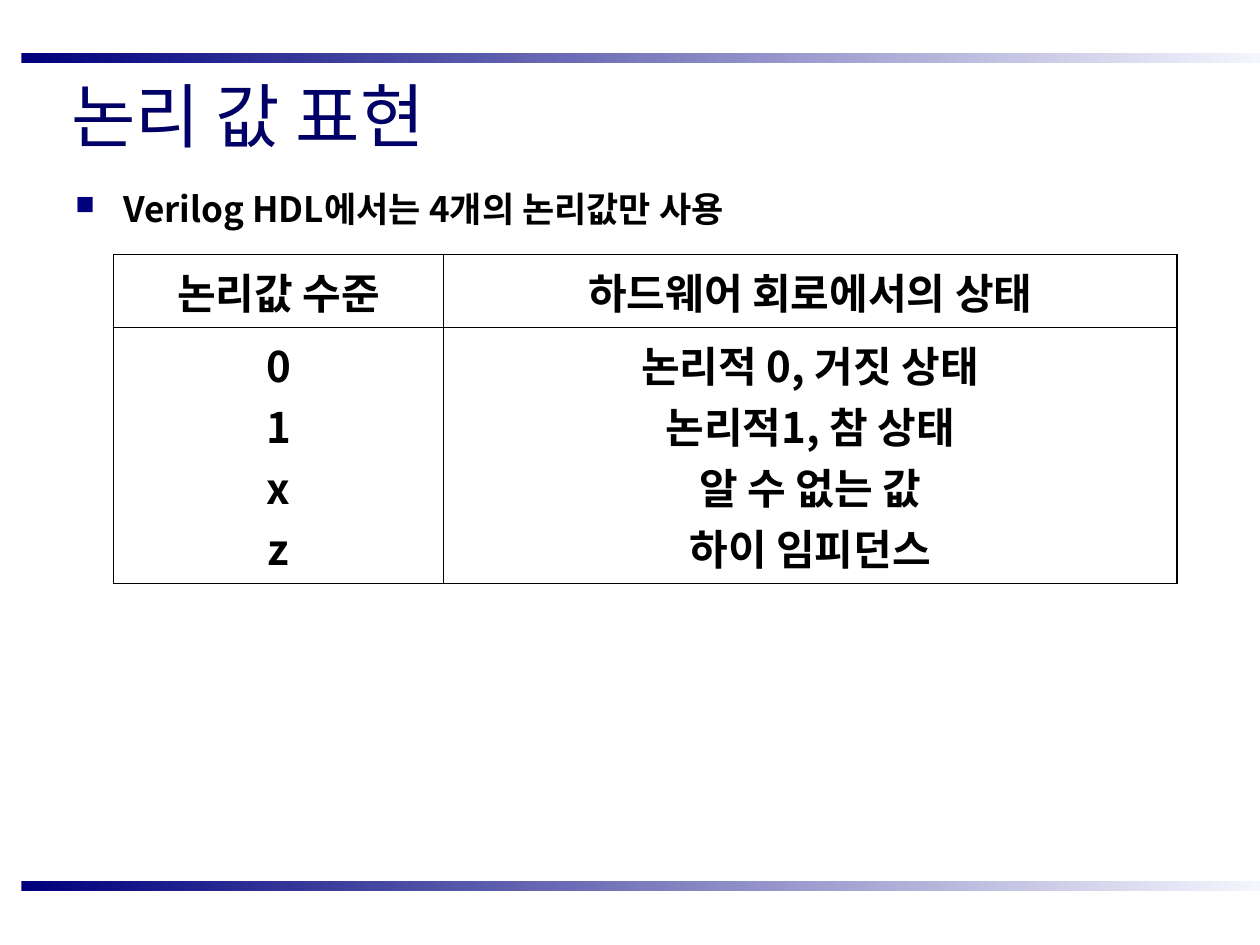
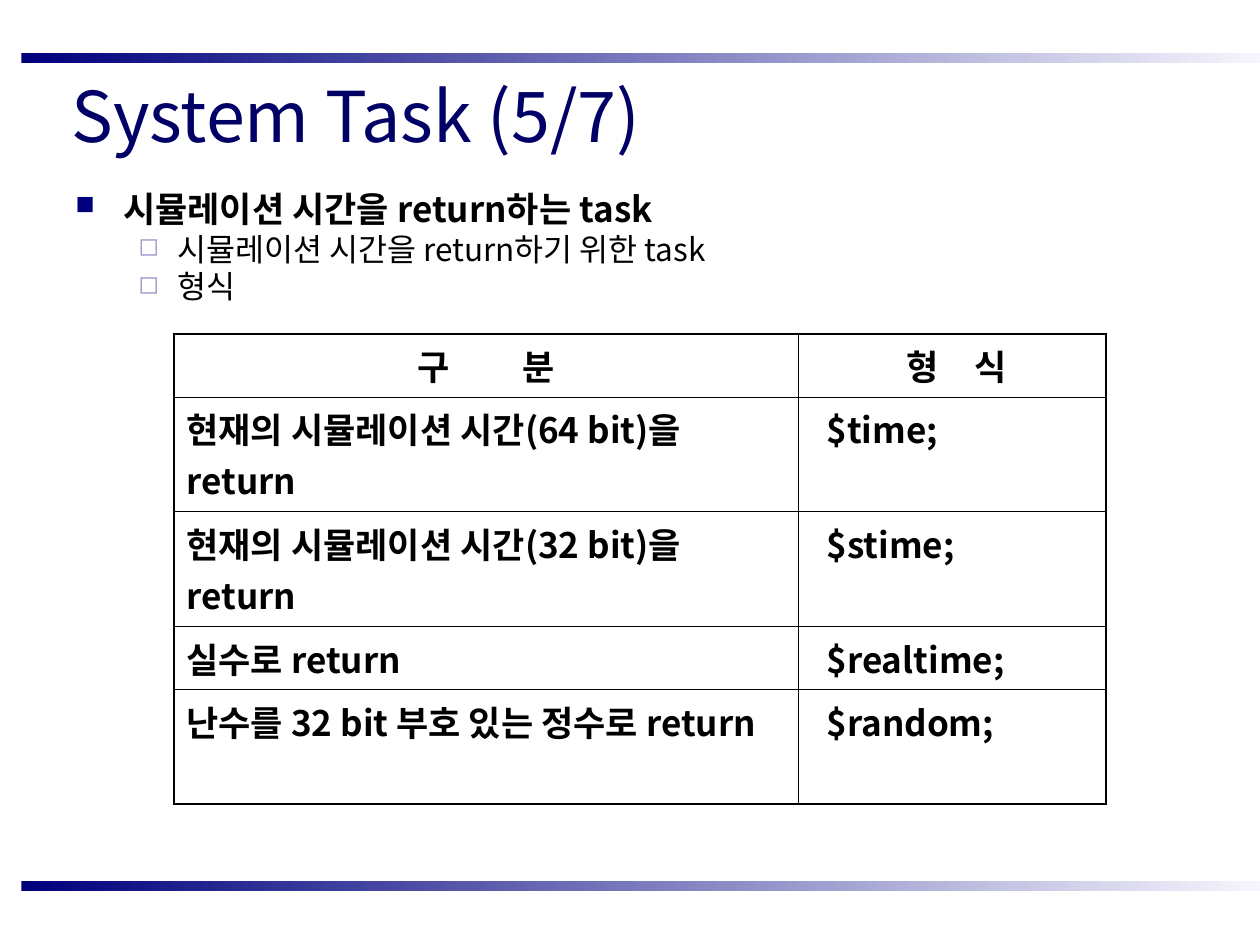
from dataclasses import dataclass
from typing import Any

from lxml.etree import SubElement
from pptx import Presentation
from pptx.dml.color import RGBColor
from pptx.enum.shapes import MSO_SHAPE
from pptx.enum.text import MSO_ANCHOR as Anchor, PP_ALIGN as Align
from pptx.oxml import parse_xml
from pptx.oxml.ns import nsdecls, qn
from pptx.util import Inches, Pt

FONT = "Noto Sans CJK KR"
COLORS = {
    "title": "000066",
    "text": "000000",
    "band_start": "00007D",
    "band_end": "F5F5FD",
    "bullet": "00007D",
    "sub_bullet": "9999CC",
}
BAND_TOPS = (0.42, 6.99)
OUTER_BORDER, INNER_BORDER = 1.08, 0.45


@dataclass(frozen=True)
class BulletStyle:
    symbol: str
    color: str
    percent: int
    margin: float
    hanging: float
    size: int
    bold: bool


BULLETS = (
    BulletStyle("■", "bullet", 75, 0.38, 0.38, 20, True),
    BulletStyle("◻", "sub_bullet", 80, 0.81, 0.31, 18, False),
)


@dataclass(frozen=True)
class Cell:
    """Text lines of a cell; word_gap widens its spaces, in points."""
    lines: tuple[str, ...]
    align: Align = Align.CENTER
    margin_left: float = 0.1
    word_gap: float = 0


@dataclass(frozen=True)
class TableSpec:
    left: float
    top: float
    column_widths: tuple[float, ...]
    row_heights: tuple[float, ...]
    size: int
    anchor: Anchor
    rows: list[tuple[Cell, ...]]


@dataclass(frozen=True)
class SlideSpec:
    title: str
    points: tuple[tuple[int, str], ...]
    table: TableSpec


def rgb(name: str) -> RGBColor:
    return RGBColor.from_string(COLORS[name])


def add_run(paragraph: Any, text: str, size: float, bold: bool = False,
            color: str = "text") -> Any:
    run = paragraph.add_run()
    run.text = text
    for name, value in {"size": Pt(size), "bold": bold, "name": FONT}.items():
        setattr(run.font, name, value)
    run.font.color.rgb = rgb(color)
    SubElement(run._r.get_or_add_rPr(), qn("a:ea"), typeface=FONT)
    return run


def add_band(slide: Any, top: float) -> None:
    band = slide.shapes.add_shape(
        MSO_SHAPE.RECTANGLE, Inches(0.17), Inches(top), Inches(9.83), Inches(0.08))
    band.shadow.inherit = False
    band.line.fill.background()
    band.fill.gradient()
    band.fill.gradient_angle = 0
    for stop, name in zip(band.fill.gradient_stops, ("band_start", "band_end")):
        stop.color.rgb = rgb(name)


def add_text_frame(slide: Any, left: float, top: float, width: float,
                   height: float, anchor: Anchor) -> Any:
    box = slide.shapes.add_textbox(
        Inches(left), Inches(top), Inches(width), Inches(height))
    frame = box.text_frame
    frame.word_wrap = True
    frame.vertical_anchor = anchor
    return frame


def next_paragraph(frame: Any, index: int) -> Any:
    return frame.add_paragraph() if index else frame.paragraphs[0]


def set_bullet(paragraph: Any, style: BulletStyle) -> None:
    properties = paragraph._p.get_or_add_pPr()
    properties.set("marL", str(Inches(style.margin)))
    properties.set("indent", str(-Inches(style.hanging)))
    color = SubElement(properties, qn("a:buClr"))
    SubElement(color, qn("a:srgbClr"), val=COLORS[style.color])
    SubElement(properties, qn("a:buSzPct"), val=str(style.percent * 1000))
    SubElement(properties, qn("a:buChar"), char=style.symbol)


def add_points(slide: Any, points: tuple[tuple[int, str], ...]) -> None:
    frame = add_text_frame(slide, 0.5, 1.44, 9, 5.42, Anchor.TOP)
    for index, (level, text) in enumerate(points):
        paragraph = next_paragraph(frame, index)
        style = BULLETS[level]
        paragraph.level = level
        set_bullet(paragraph, style)
        add_run(paragraph, text, style.size, style.bold)


def set_borders(cell: Any, outer_sides: dict[str, bool]) -> None:
    properties = cell._tc.get_or_add_tcPr()
    for index, (side, is_outer) in enumerate(outer_sides.items()):
        width = Pt(OUTER_BORDER if is_outer else INNER_BORDER)
        properties.insert(index, parse_xml(
            f'<a:ln{side} {nsdecls("a")} w="{width}"><a:solidFill>'
            f'<a:srgbClr val="{COLORS["text"]}"/></a:solidFill></a:ln{side}>'))


def fill_cell(cell: Any, content: Cell, size: int, anchor: Anchor) -> None:
    cell.fill.background()
    cell.vertical_anchor = anchor
    cell.margin_left = Inches(content.margin_left)
    for index, line in enumerate(content.lines):
        paragraph = next_paragraph(cell.text_frame, index)
        paragraph.alignment = content.align
        parts = line.partition(" ") if content.word_gap else (line,)
        for part in parts:
            run = add_run(paragraph, part, size, True)
            if part == " ":
                run._r.get_or_add_rPr().set("spc", str(round(content.word_gap * 100)))


def add_table(slide: Any, spec: TableSpec) -> None:
    last_row, last_column = len(spec.row_heights) - 1, len(spec.column_widths) - 1
    table = slide.shapes.add_table(
        last_row + 1, last_column + 1, Inches(spec.left), Inches(spec.top),
        Inches(sum(spec.column_widths)), Inches(sum(spec.row_heights))).table
    table.first_row = table.horz_banding = False
    for column, width in zip(table.columns, spec.column_widths):
        column.width = Inches(width)
    for row, height in zip(table.rows, spec.row_heights):
        row.height = Inches(height)
    for r, contents in enumerate(spec.rows):
        for c, content in enumerate(contents):
            cell = table.cell(r, c)
            fill_cell(cell, content, spec.size, spec.anchor)
            set_borders(cell, {"L": c == 0, "R": c == last_column,
                               "T": r == 0, "B": r == last_row})


def add_slide(presentation: Any, spec: SlideSpec) -> None:
    slide = presentation.slides.add_slide(presentation.slide_layouts[6])
    for top in BAND_TOPS:
        add_band(slide, top)
    title = add_text_frame(slide, 0.47, 0.48, 9.19, 0.86, Anchor.MIDDLE)
    add_run(title.paragraphs[0], spec.title, 40, color="title")
    add_points(slide, spec.points)
    add_table(slide, spec.table)


LOGIC_VALUES = TableSpec(
    0.9, 2.02, (2.62, 5.82), (0.58, 2.03), 24, Anchor.MIDDLE,
    [
        (Cell(("논리값 수준",)), Cell(("하드웨어 회로에서의 상태",))),
        (Cell(("0", "1", "x", "z")),
         Cell(("논리적 0, 거짓 상태", "논리적1, 참 상태", "알 수 없는 값", "하이 임피던스"))),
    ])

TIME_TASKS = (
    ("현재의 시뮬레이션 시간(64 bit)을 return", "$time;"),
    ("현재의 시뮬레이션 시간(32 bit)을 return", "$stime;"),
    ("실수로 return", "$realtime;"),
    ("난수를 32 bit 부호 있는 정수로 return", "$random;"),
)
TASK_FORMATS = TableSpec(
    1.38, 2.65, (4.96, 2.44), (0.5, 0.91, 0.91, 0.5, 0.91), 20, Anchor.TOP,
    [(Cell(("구 분",), word_gap=37), Cell(("형 식",), margin_left=0.16, word_gap=16))]
    + [(Cell((purpose,), Align.LEFT), Cell((call,), Align.LEFT, 0.22))
       for purpose, call in TIME_TASKS])

SLIDES = (
    SlideSpec("논리 값 표현", ((0, "Verilog HDL에서는 4개의 논리값만 사용"),), LOGIC_VALUES),
    SlideSpec(
        "System Task (5/7)",
        ((0, "시뮬레이션 시간을 return하는 task"),
         (1, "시뮬레이션 시간을 return하기 위한 task"),
         (1, "형식")),
        TASK_FORMATS),
)


def main() -> None:
    presentation = Presentation()
    presentation.slide_width = Inches(10)
    presentation.slide_height = Inches(7.5)
    for spec in SLIDES:
        add_slide(presentation, spec)
    presentation.save("out.pptx")


if __name__ == "__main__":
    main()
